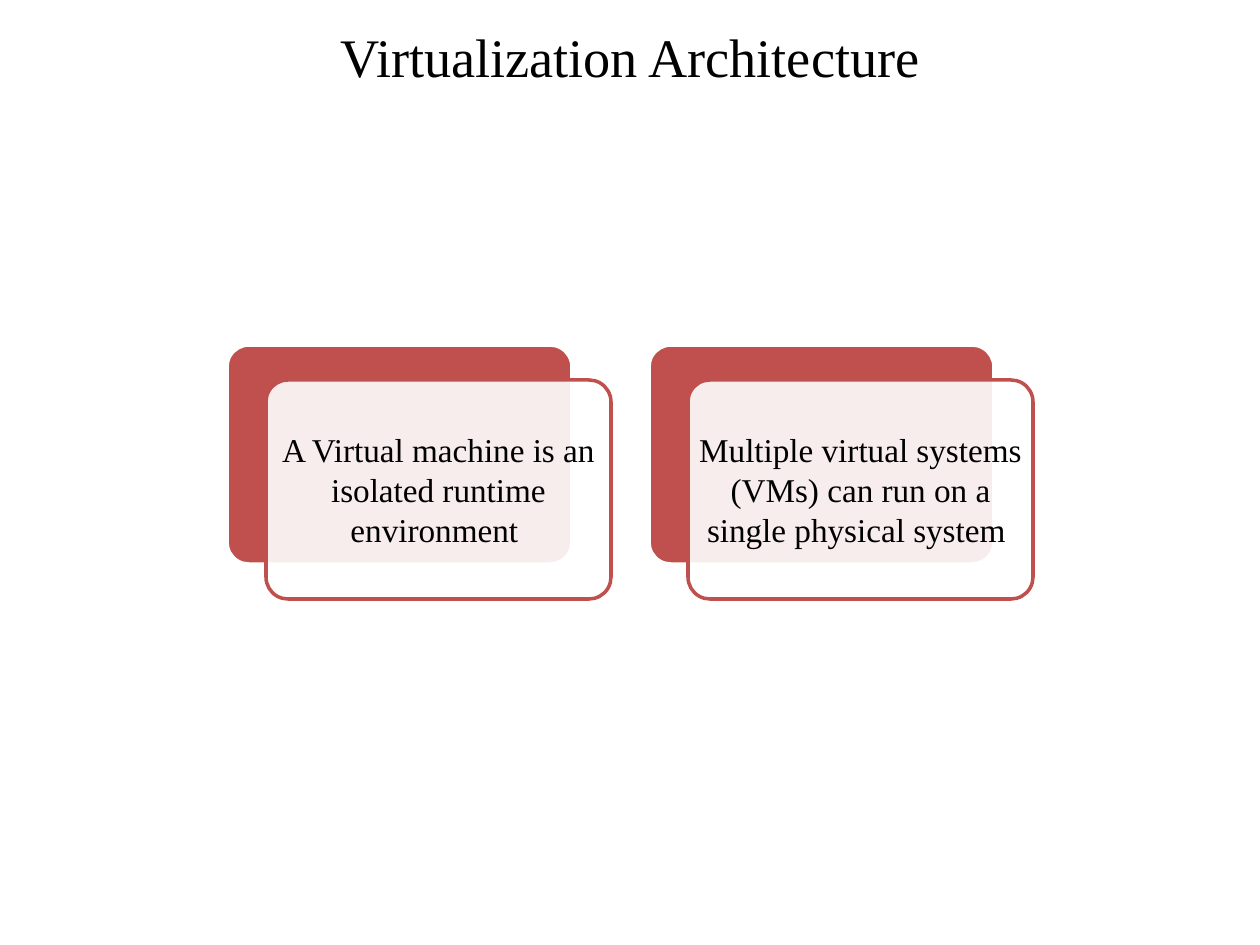
from pptx import Presentation
from pptx import util as u
from pptx.dml.color import RGBColor
from pptx.enum import shapes, text
from pptx.oxml.ns import qn
from lxml import etree

PX = u.Inches(1) / 126
RED = RGBColor(0xC0, 0x50, 0x4D)
WHITE = RGBColor(0xFF, 0xFF, 0xFF)
BLACK = RGBColor(0, 0, 0)
CARD_W, CARD_H = 345, 219
LEFT, TOP, STEP = 227, 345, 422
SHIFT_X, SHIFT_Y = 39, 35
CARDS = [
    "A Virtual machine is an isolated runtime environment ",
    "Multiple virtual systems (VMs) can run on a single physical system ",
]


def add_card(s, x, y, fill, line):
    sp = s.shapes.add_shape(
        shapes.MSO_SHAPE.ROUNDED_RECTANGLE,
        *[round(v * PX) for v in (x, y, CARD_W, CARD_H)])
    sp.adjustments[0] = 0.1
    sp.shadow.inherit = False
    sp.fill.solid()
    sp.fill.fore_color.rgb = fill
    sp.line.color.rgb = line
    sp.line.width = u.Pt(2)
    return sp


def set_text(sp, words, size, inset):
    tf = sp.text_frame
    tf.word_wrap = True
    tf.vertical_anchor = text.MSO_ANCHOR.MIDDLE
    tf.margin_left = tf.margin_right = round(inset * PX)
    tf.text = words
    p = tf.paragraphs[0]
    p.alignment = text.PP_ALIGN.CENTER
    r = p.runs[0]
    r.font.name = "Times New Roman"
    r.font.size = u.Pt(size)
    r.font.color.rgb = BLACK


prs = Presentation()
prs.slide_width = round(1260 * PX)
prs.slide_height = round(945 * PX)
s = prs.slides.add_slide(prs.slide_layouts[6])

title = s.shapes.add_textbox(0, 0, prs.slide_width, round(112 * PX))
set_text(title, "Virtualization Architecture", 31, 13)

for i, words in enumerate(CARDS):
    x = LEFT + i * STEP
    add_card(s, x, TOP, RED, WHITE)
    front = add_card(s, x + SHIFT_X, TOP + SHIFT_Y, WHITE, RED)
    clr = front.fill._xPr.find(qn("a:solidFill"))[0]
    etree.SubElement(clr, qn("a:alpha")).set("val", "90000")
    set_text(front, words, 19, 3)

prs.save("out.pptx")
